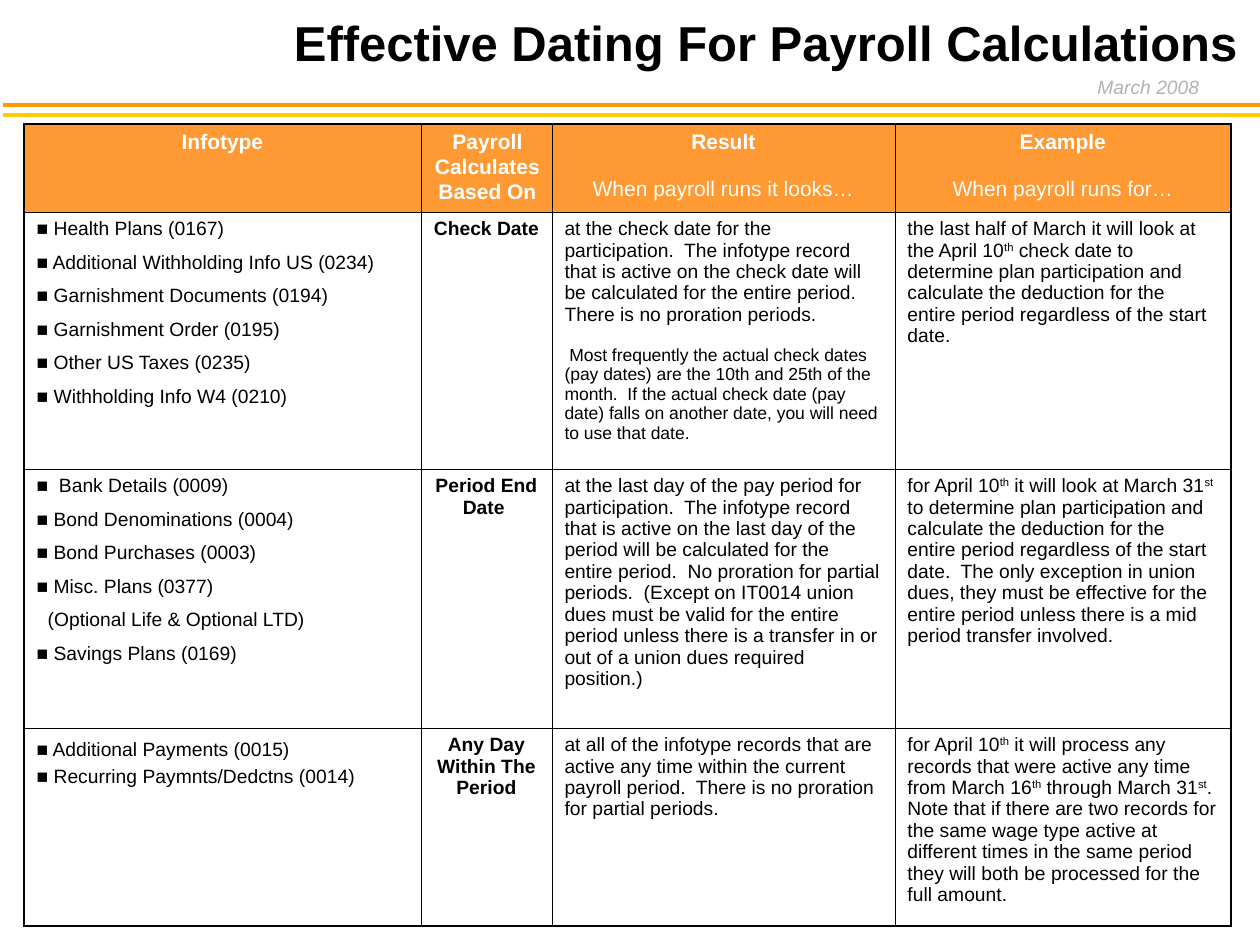
"""Build the slide on effective dating for payroll calculations."""
from lxml import etree
from pptx import Presentation
from pptx.dml.color import RGBColor
from pptx.enum.shapes import MSO_CONNECTOR
from pptx.enum.text import MSO_ANCHOR, PP_ALIGN
from pptx.oxml.ns import qn
from pptx.util import Pt

PX = 7257
FONT = "Arial"
BLACK = RGBColor(0x00, 0x00, 0x00)
WHITE = RGBColor(0xFF, 0xFF, 0xFF)
GRAY = RGBColor(0xB2, 0xB2, 0xB2)
YELLOW = RGBColor(0xFF, 0xCC, 0x00)
ORANGE = RGBColor(0xFF, 0x99, 0x00)
HEADER_ORANGE = RGBColor(0xFF, 0x99, 0x33)
LEFT, CENTER, RIGHT = PP_ALIGN.LEFT, PP_ALIGN.CENTER, PP_ALIGN.RIGHT
MIDDLE = MSO_ANCHOR.MIDDLE
STRAIGHT = MSO_CONNECTOR.STRAIGHT


def write(frame, texts, size, color=BLACK, bold=False, align=LEFT):
    """Fill a frame with paragraphs; ^ marks enclose superscripts."""
    for index, text in enumerate(texts):
        para = frame.paragraphs[0] if index == 0 else frame.add_paragraph()
        para.alignment = align
        for part, piece in enumerate(text.split("^")):
            span = para.add_run()
            span.text = piece
            span.font.name = FONT
            span.font.size = Pt(size)
            span.font.bold = bold
            span.font.color.rgb = color
            if part % 2:
                span.font._element.set("baseline", "30000")
    return frame.paragraphs


def set_border(cell, position, side, points):
    """Draw one black side of a table cell."""
    line = etree.Element(qn(f"a:{side}"), w=str(Pt(points)))
    fill = etree.SubElement(line, qn("a:solidFill"))
    etree.SubElement(fill, qn("a:srgbClr"), val=str(BLACK))
    cell._tc.get_or_add_tcPr().insert(position, line)


deck = Presentation()
deck.slide_width = 1260 * PX
deck.slide_height = 945 * PX
page = deck.slides.add_slide(deck.slide_layouts[5])

for y, color in ((115, YELLOW), (105, ORANGE)):
    rule = page.shapes.add_connector(STRAIGHT, 3 * PX, y * PX, 1260 * PX, y * PX)
    rule.line.color.rgb = color
    rule.line.width = Pt(2)
    etree.SubElement(rule._element.spPr, qn("a:effectLst"))

date_box = page.shapes.add_textbox(1085 * PX, 69 * PX, 127 * PX, 37 * PX)
date_box.text_frame.word_wrap = False
date = write(date_box.text_frame, ["March 2008"], 11, GRAY)
date[0].runs[0].font.italic = True

title = page.shapes.title
title.left, title.top, title.width, title.height = 210 * PX, 0, 1040 * PX, 84 * PX
title.text_frame.vertical_anchor = MIDDLE
write(title.text_frame, ["Effective Dating For Payroll Calculations"], 28, bold=True, align=RIGHT)

COLUMN_WIDTHS = (397, 131, 343, 336)
ROW_HEIGHTS = (88, 257, 259, 198)
HEADERS = (
    ["Infotype"],
    [],
    ["Result", "When payroll runs it looks…"],
    ["Example", "When payroll runs for…"],
)
BODY = (
    (
        ["■ Health Plans (0167)", "■ Additional Withholding Info US (0234)",
         "■ Garnishment Documents (0194)", "■ Garnishment Order (0195)",
         "■ Other US Taxes (0235)", "■ Withholding Info W4 (0210)"],
        ["Check Date "],
        ["at the check date for the participation.  The infotype record that is active on the "
         "check date will be calculated for the entire period.  There is no proration periods.",
         " Most frequently the actual check dates (pay dates) are the 10th and 25th of the "
         "month.  If the actual check date (pay date) falls on another date, you will need "
         "to use that date. "],
        ["the last half of March it will look at the April 10^th^ check date to determine plan "
         "participation and calculate the deduction for the entire period regardless of the "
         "start date."],
    ),
    (
        ["■  Bank Details (0009)", "■ Bond Denominations (0004)", "■ Bond Purchases (0003)",
         "■ Misc. Plans (0377)", "(Optional Life & Optional LTD)", "■ Savings Plans (0169)"],
        ["Period End Date "],
        ["at the last day of the pay period for participation.  The infotype record that is "
         "active on the last day of the period will be calculated for the entire period.  No "
         "proration for partial periods.  (Except on IT0014 union dues must be valid for the "
         "entire period unless there is a transfer in or out of a union dues required position.)"],
        ["for April 10^th^ it will look at March 31^st^ to determine plan participation and "
         "calculate the deduction for the entire period regardless of the start date.  The only "
         "exception in union dues, they must be effective for the entire period unless there is "
         "a mid period transfer involved."],
    ),
    (
        ["■ Additional Payments (0015)", "■ Recurring Paymnts/Dedctns (0014)"],
        ["Any Day Within The Period"],
        ["at all of the infotype records that are active any time within the current payroll "
         "period.  There is no proration for partial periods."],
        ["for April 10^th^ it will process any records that were active any time from March "
         "16^th^ through March 31^st^.  Note that if there are two records for the same wage "
         "type active at different times in the same period they will both be processed for "
         "the full amount."],
    ),
)

table = page.shapes.add_table(
    len(ROW_HEIGHTS), len(COLUMN_WIDTHS), 24 * PX, 124 * PX,
    sum(COLUMN_WIDTHS) * PX, sum(ROW_HEIGHTS) * PX).table
for column, width in zip(table.columns, COLUMN_WIDTHS):
    column.width = width * PX
for row, height in zip(table.rows, ROW_HEIGHTS):
    row.height = height * PX

last_row, last_column = len(ROW_HEIGHTS) - 1, len(COLUMN_WIDTHS) - 1
for r, texts_in_row in enumerate((HEADERS, *BODY)):
    for c, texts in enumerate(texts_in_row):
        cell = table.cell(r, c)
        if r == 0:
            cell.fill.solid()
            cell.fill.fore_color.rgb = HEADER_ORANGE
            paras = write(cell.text_frame, texts, 12, WHITE, True, CENTER)
            for para in paras[1:]:
                para.space_before = Pt(13.4)
                para.runs[0].font.bold = False
        else:
            cell.fill.background()
            label = c == 1
            paras = write(cell.text_frame, texts, 11, bold=label, align=CENTER if label else LEFT)
            for para in paras[1:]:
                if c == 0 and r < last_row:
                    para.space_before = Pt(6.9)
                elif c == 2:
                    para.space_before = Pt(11.5)
                    para.runs[0].font.size = Pt(10)
            if c == 0:
                for para in paras:
                    if r == last_row:
                        para.line_spacing = 1.25
                    if not para.text.startswith("■"):
                        para._p.get_or_add_pPr().set("marL", str(11 * PX))
        outer_sides = (("lnL", c == 0), ("lnR", c == last_column),
                       ("lnT", r == 0), ("lnB", r == last_row))
        for position, (side, outer) in enumerate(outer_sides):
            set_border(cell, position, side, 1.08 if outer else 0.45)

basis_box = page.shapes.add_textbox(418 * PX, 122 * PX, 139 * PX, 88 * PX)
basis_box.text_frame.word_wrap = True
write(basis_box.text_frame, ["Payroll Calculates Based On"], 12, WHITE, True, CENTER)

deck.save("out.pptx")
